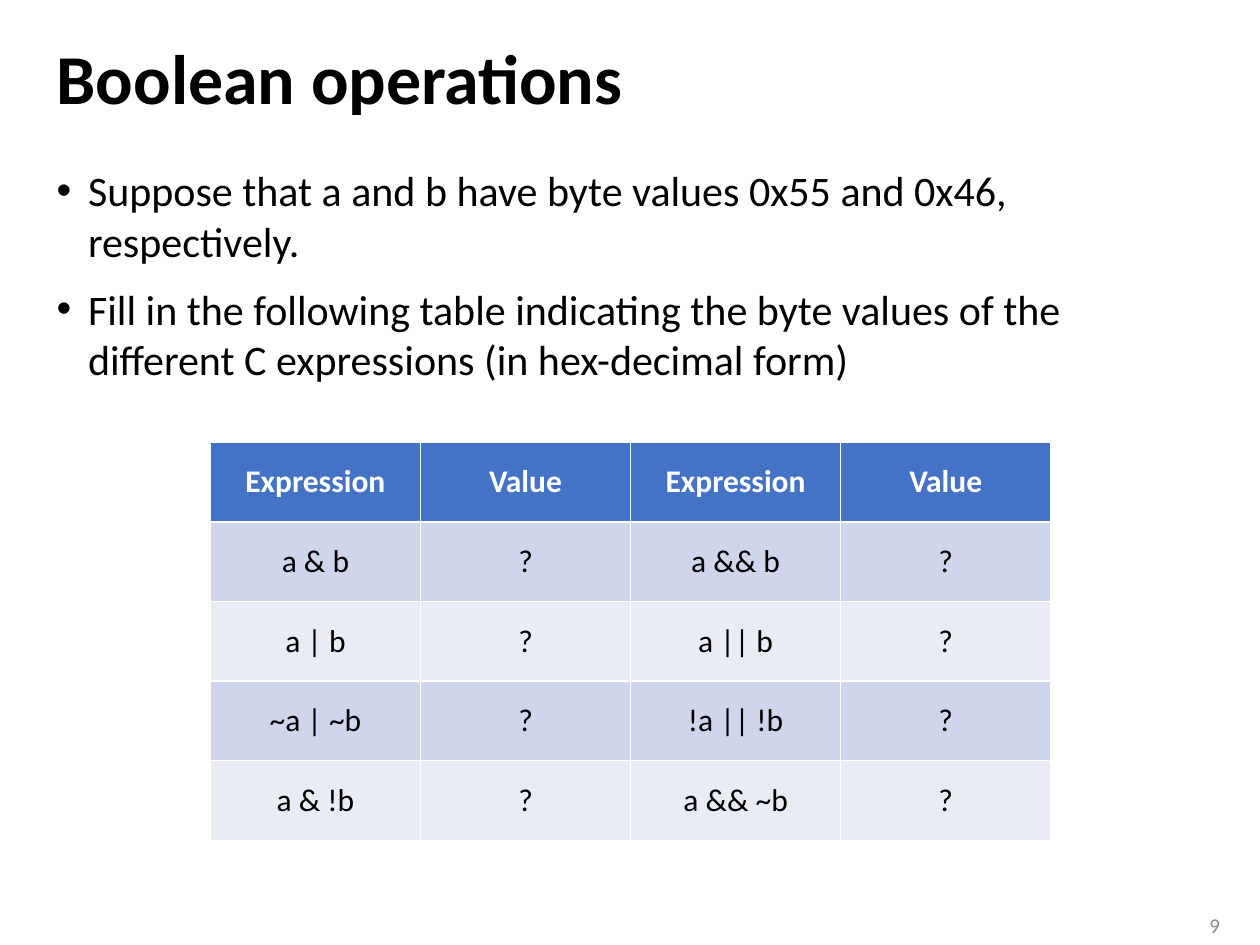
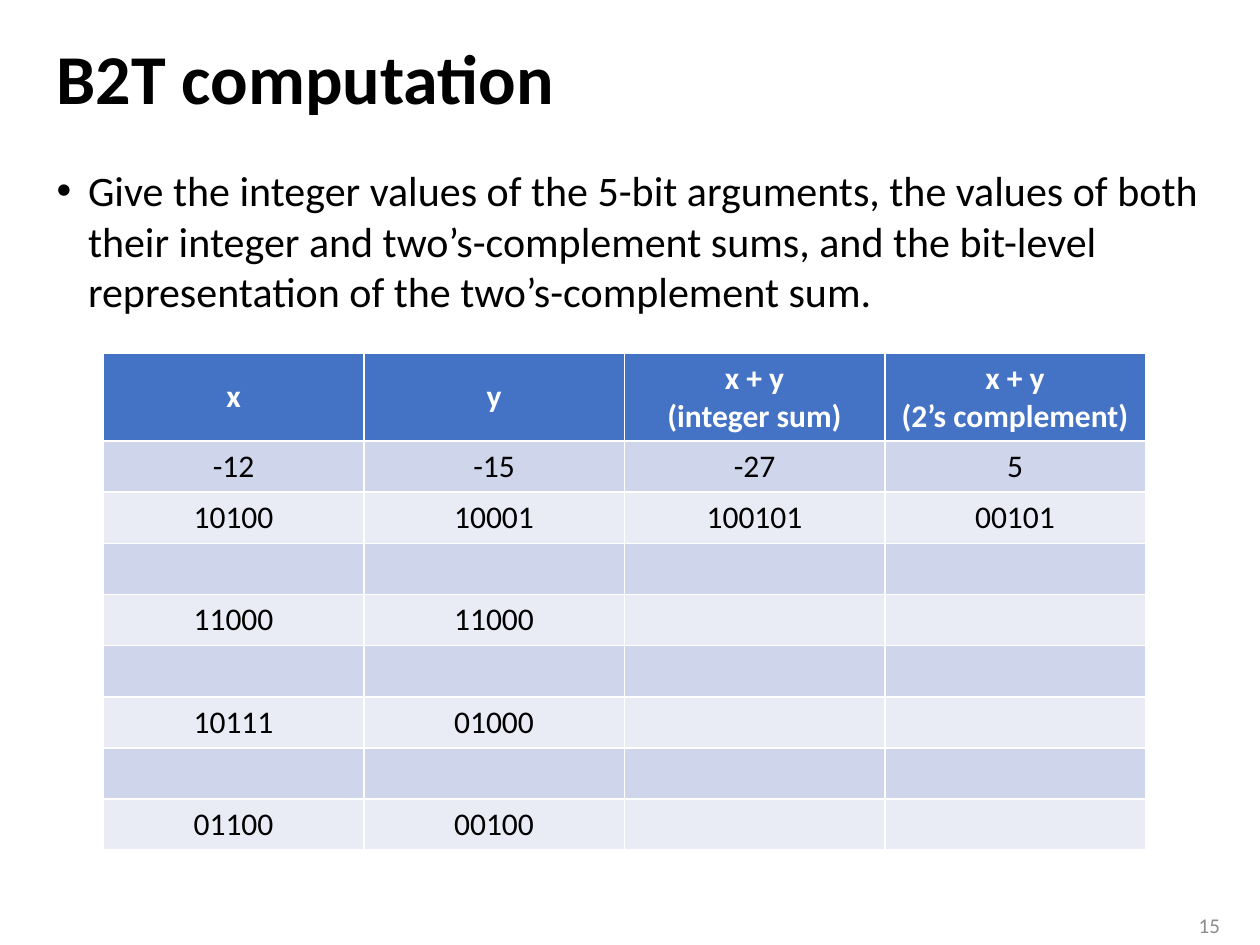
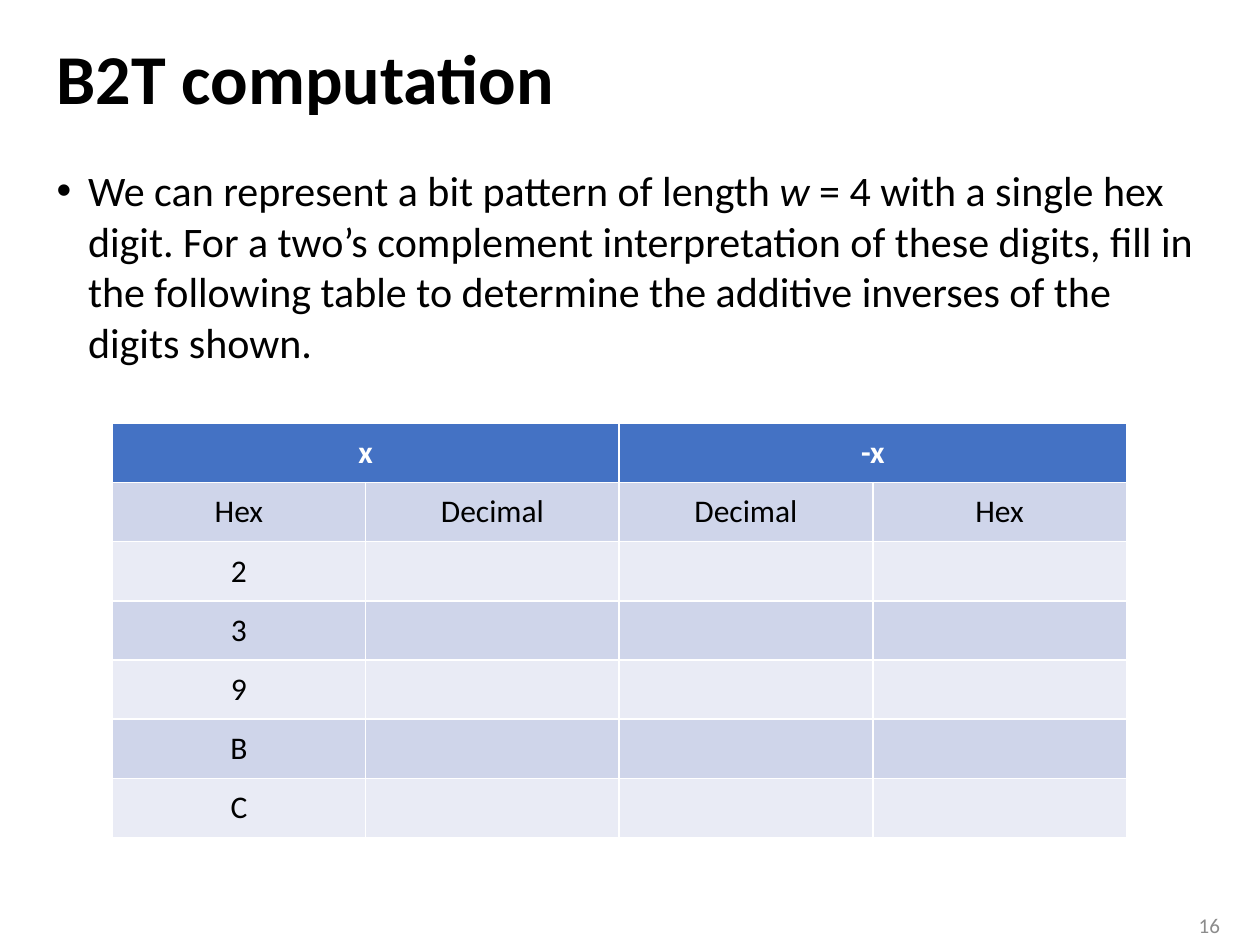
import pptx
import pptx.dml.color
import pptx.enum.text
import pptx.oxml.ns
import pptx.util
from lxml import etree

Inches = pptx.util.Inches
Pt = pptx.util.Pt
RGBColor = pptx.dml.color.RGBColor
Align = pptx.enum.text.PP_ALIGN
Anchor = pptx.enum.text.MSO_ANCHOR

BLACK = RGBColor(0x00, 0x00, 0x00)
WHITE = RGBColor(0xFF, 0xFF, 0xFF)
GREY = RGBColor(0x8C, 0x8C, 0x8C)
HEADER_BLUE = RGBColor(0x44, 0x72, 0xC4)
BANDS = (RGBColor(0xCF, 0xD5, 0xEA), RGBColor(0xE9, 0xEB, 0xF5))
FONT = "Calibri"
MARGIN, CONTENT_WIDTH = 0.35, 9.29
TITLE_ONLY = 5


class ExerciseDeck:
    def __init__(self):
        self.deck = pptx.Presentation()
        self.deck.slide_width = Inches(10)
        self.deck.slide_height = Inches(7.5)
        self.page = None

    def style(self, para, size, color=BLACK, bold=False, align=Align.LEFT):
        para.alignment = align
        font = para.font
        font.name, font.size, font.bold = FONT, Pt(size), bold
        font.color.rgb = color

    def text_box(self, left, top, width, height, anchor=Anchor.TOP):
        box = self.page.shapes.add_textbox(
            Inches(left), Inches(top), Inches(width), Inches(height))
        box.text_frame.word_wrap = True
        box.text_frame.vertical_anchor = anchor
        return box.text_frame

    def new_page(self, title, number):
        self.page = self.deck.slides.add_slide(self.deck.slide_layouts[TITLE_ONLY])
        heading = self.page.shapes.title
        heading.left, heading.top = Inches(MARGIN), Inches(0.19)
        heading.width, heading.height = Inches(CONTENT_WIDTH), Inches(0.92)
        frame = heading.text_frame
        frame.text = title
        frame.auto_size = pptx.enum.text.MSO_AUTO_SIZE.NONE
        frame.vertical_anchor = Anchor.MIDDLE
        para = frame.paragraphs[0]
        para.line_spacing = 0.9
        self.style(para, 40, bold=True)

        footer = self.text_box(9.27, 7.19, 0.51, 0.31, Anchor.MIDDLE)
        footer.text = str(number)
        self.style(footer.paragraphs[0], 12, GREY, align=Align.RIGHT)

    def bullets(self, *items):
        """Each item is a list of (text, italic) spans."""
        frame = self.text_box(MARGIN, 1.26, CONTENT_WIDTH, 5.83)
        for index, spans in enumerate(items):
            para = frame.add_paragraph() if index else frame.paragraphs[0]
            para.space_before = Pt(10)
            self.add_bullet(para)
            self.style(para, 24)
            for text, italic in spans:
                span = para.add_run()
                span.text = text
                if italic:
                    span.font.italic = True

    def add_bullet(self, para):
        properties = para._p.get_or_add_pPr()
        properties.set("marL", str(Inches(0.25)))
        properties.set("indent", str(Inches(-0.25)))
        qn = pptx.oxml.ns.qn
        etree.SubElement(properties, qn("a:buFont")).set("typeface", "Arial")
        etree.SubElement(properties, qn("a:buChar")).set("char", "•")

    def table(self, left, top, width, height, rows, header_height=None, merges=()):
        """Share the height left by the header equally among the other rows."""
        columns = len(rows[0])
        table = self.page.shapes.add_table(
            len(rows), columns, Inches(left), Inches(top),
            Inches(width), Inches(height)).table
        if header_height:
            table.rows[0].height = Inches(header_height)
            for row in list(table.rows)[1:]:
                row.height = Inches((height - header_height) / (len(rows) - 1))
        for row_index, row in enumerate(rows):
            header = row_index == 0
            fill = HEADER_BLUE if header else BANDS[(row_index - 1) % 2]
            for column, text in enumerate(row):
                cell = table.cell(row_index, column)
                cell.fill.solid()
                cell.fill.fore_color.rgb = fill
                cell.vertical_anchor = Anchor.MIDDLE
                cell.text = text
                for para in cell.text_frame.paragraphs:
                    self.style(para, 18, WHITE if header else BLACK, header, Align.CENTER)
        for first, last in merges:
            table.cell(0, first).merge(table.cell(0, last))


def boolean_operations(deck):
    deck.new_page("Boolean operations", 9)
    deck.bullets(
        [("Suppose that a and b have byte values 0x55 and 0x46, respectively.", False)],
        [("Fill in the following table indicating the byte values of the "
          "different C expressions (in hex-decimal form)", False)])
    expressions = [("a & b", "a && b"), ("a | b", "a || b"),
                   ("~a | ~b", "!a || !b"), ("a & !b", "a && ~b")]
    rows = [("Expression", "Value") * 2]
    rows += [(bitwise, "?", logical, "?") for bitwise, logical in expressions]
    deck.table(1.67, 3.51, 6.67, 3.16, rows)


def five_bit_sums(deck):
    deck.new_page("B2T computation", 15)
    deck.bullets([("Give the integer values of the 5-bit arguments, the values of both "
                   "their integer and two’s-complement sums, and the bit-level "
                   "representation of the two’s-complement sum.", False)])
    rows = [("x", "y", "x + y\n(integer sum)", "x + y\n(2’s complement)"),
            ("-12", "-15", "-27", "5"),
            ("10100", "10001", "100101", "00101")]
    for x, y in [("11000", "11000"), ("10111", "01000"), ("01100", "00100")]:
        rows += [("",) * 4, (x, y, "", "")]
    deck.table(0.82, 2.8, 8.27, 3.95, rows, header_height=0.7)


def additive_inverses(deck):
    deck.new_page("B2T computation", 16)
    deck.bullets([("We can represent a bit pattern of length ", False), ("w ", True),
                  ("= 4 with a single hex digit. For a two’s complement interpretation "
                   "of these digits, fill in the following table to determine the "
                   "additive inverses of the digits shown.", False)])
    rows = [("x", "", "-x", ""), ("Hex", "Decimal", "Decimal", "Hex")]
    rows += [(digit, "", "", "") for digit in "239BC"]
    deck.table(0.89, 3.36, 8.05, 3.29, rows, merges=[(0, 1), (2, 3)])


def main():
    deck = ExerciseDeck()
    boolean_operations(deck)
    five_bit_sums(deck)
    additive_inverses(deck)
    deck.deck.save("out.pptx")


if __name__ == "__main__":
    main()
